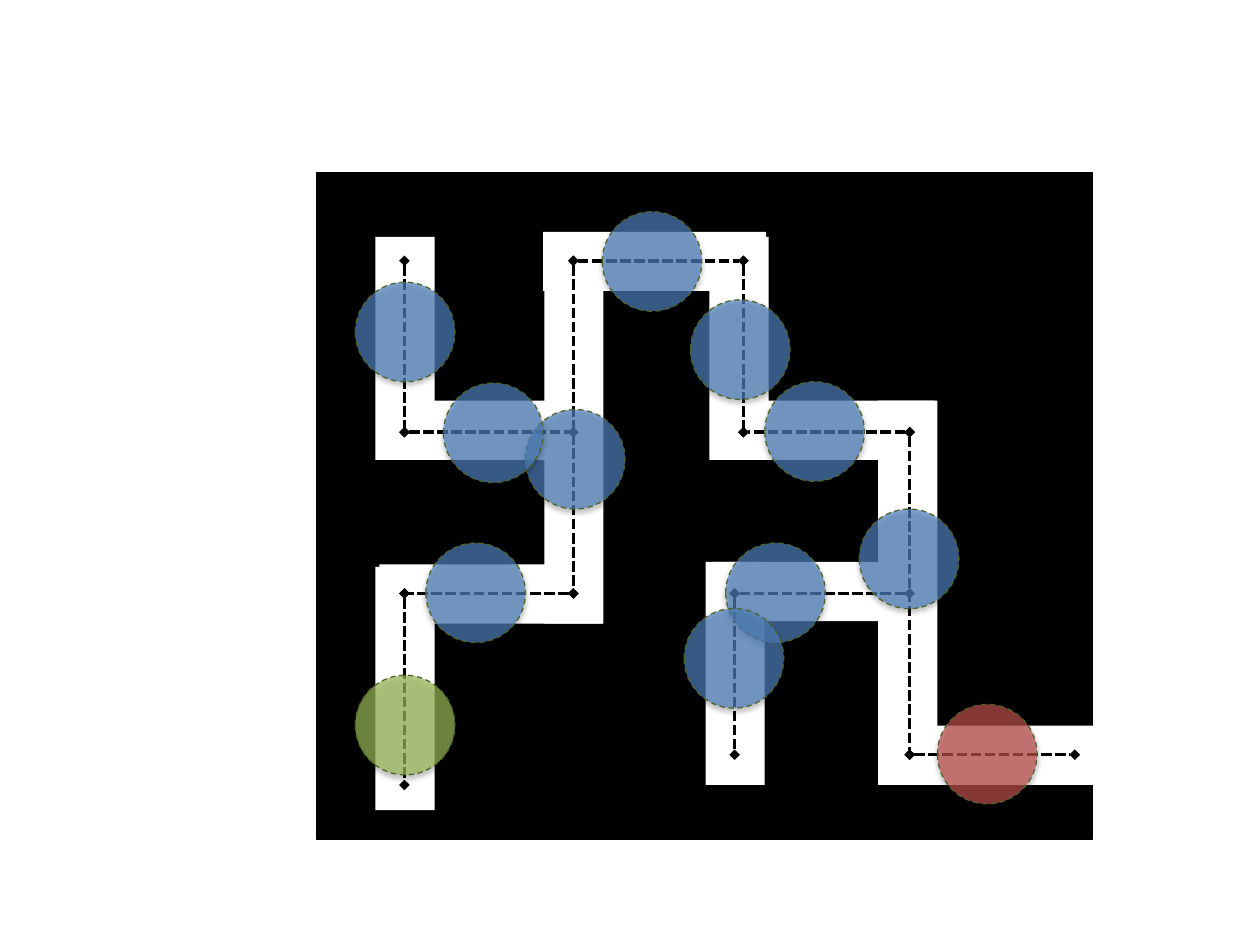
from lxml.etree import SubElement
from pptx import Presentation
from pptx.dml.color import RGBColor
from pptx.enum.dml import MSO_LINE
from pptx.enum.shapes import MSO_CONNECTOR, MSO_SHAPE
from pptx.oxml.ns import qn
from pptx.util import Inches, Pt

theme = {
    "wall": "000000", "hall": "FFFFFF", "route": "000000", "edge": "4F6228",
    "start": "9BBB59", "stop": "4F81BD", "exit": "C0504D",
}


def add_child(parent, tag, **attrs):
    return SubElement(parent, qn(tag), {k: str(v) for k, v in attrs.items()})


def add_filled(kind, x, y, w, h, colour):
    sp = s.shapes.add_shape(kind, Inches(x), Inches(y), Inches(w), Inches(h))
    sp.shadow.inherit = False
    sp.fill.solid()
    sp.fill.fore_color.rgb = RGBColor.from_string(theme[colour])
    sp.line.fill.background()
    return sp


prs = Presentation()
prs.slide_width, prs.slide_height = Inches(10), Inches(7.5)
s = prs.slides.add_slide(prs.slide_layouts[6])

wall = add_filled(MSO_SHAPE.RECTANGLE, 2.51, 1.37, 6.16, 5.29, "wall")
wall.line.color.rgb = RGBColor.from_string(theme["wall"])
wall.line.width = Pt(0.75)

hall_width, hall_length = 0.47, 1.77
halls = [
    (3.66, 3.83, hall_length, 90), (2.98, 1.88, hall_length, 0),
    (2.98, 4.5, 1.93, 0), (3.66, 2.53, hall_length, 90),
    (4.32, 1.88, 3.07, 0), (4.96, 1.19, hall_length, 90),
    (5.63, 1.88, hall_length, 0), (6.3, 2.53, hall_length, 90),
    (6.97, 3.18, 3.05, 0), (7.62, 5.11, hall_length, 90),
    (6.3, 3.81, hall_length, 90), (5.6, 4.46, hall_length, 0),
]
for x, y, length, angle in halls:
    hall = add_filled(MSO_SHAPE.RECTANGLE, x, y, hall_width, length, "hall")
    hall.rotation = angle

col_a, col_b, col_c, col_d, col_e, col_f = 3.21, 4.55, 5.83, 5.9, 7.22, 8.53
row_a, row_b, row_c, row_d, row_e = 2.07, 3.43, 4.71, 5.99, 6.23
routes = [
    (col_a, row_a, col_a, row_b), (col_a, row_b, col_b, row_b),
    (col_b, row_a, col_b, row_c), (col_b, row_c, col_a, row_c),
    (col_a, row_c, col_a, row_e), (col_b, row_a, col_d, row_a),
    (col_d, row_a, col_d, row_b), (col_e, row_b, col_d, row_b),
    (col_e, row_b, col_e, row_d), (col_e, row_c, col_c, row_c),
    (col_c, row_c, col_c, row_d), (col_e, row_d, col_f, row_d),
]
for route in routes:
    cx = s.shapes.add_connector(MSO_CONNECTOR.STRAIGHT, *map(Inches, route))
    cx.line.color.rgb = RGBColor.from_string(theme["route"])
    cx.line.width = Pt(2)
    cx.line.dash_style = MSO_LINE.SQUARE_DOT
    ln = cx.line._get_or_add_ln()
    for end in ("a:headEnd", "a:tailEnd"):
        add_child(ln, end, type="diamond")
    add_child(cx._element.spPr, "a:effectLst")

diameter = 0.79
circles = [
    (2.82, 5.36, "start"), (3.38, 4.31, "stop"), (4.17, 3.25, "stop"),
    (3.52, 3.04, "stop"), (2.82, 2.24, "stop"), (4.78, 1.68, "stop"),
    (5.48, 2.38, "stop"), (6.07, 3.03, "stop"), (6.82, 4.04, "stop"),
    (5.76, 4.31, "stop"), (5.43, 4.83, "stop"), (7.44, 5.59, "exit"),
]
for x, y, role in circles:
    circle = add_filled(MSO_SHAPE.OVAL, x, y, diameter, diameter, role)
    circle.line.color.rgb = RGBColor.from_string(theme["edge"])
    circle.line.width = Pt(0.75)
    circle.line.dash_style = MSO_LINE.DASH
    spPr = circle._element.spPr
    add_child(spPr.find(qn("a:solidFill"))[0], "a:alpha", val=70000)
    shadow = add_child(spPr.find(qn("a:effectLst")), "a:outerShdw",
                       blurRad=Pt(3.1), dist=Pt(1.8), dir=90 * 60000, rotWithShape=0)
    shade = add_child(shadow, "a:srgbClr", val=theme["wall"])
    add_child(shade, "a:alpha", val=35000)

prs.save("out.pptx")
